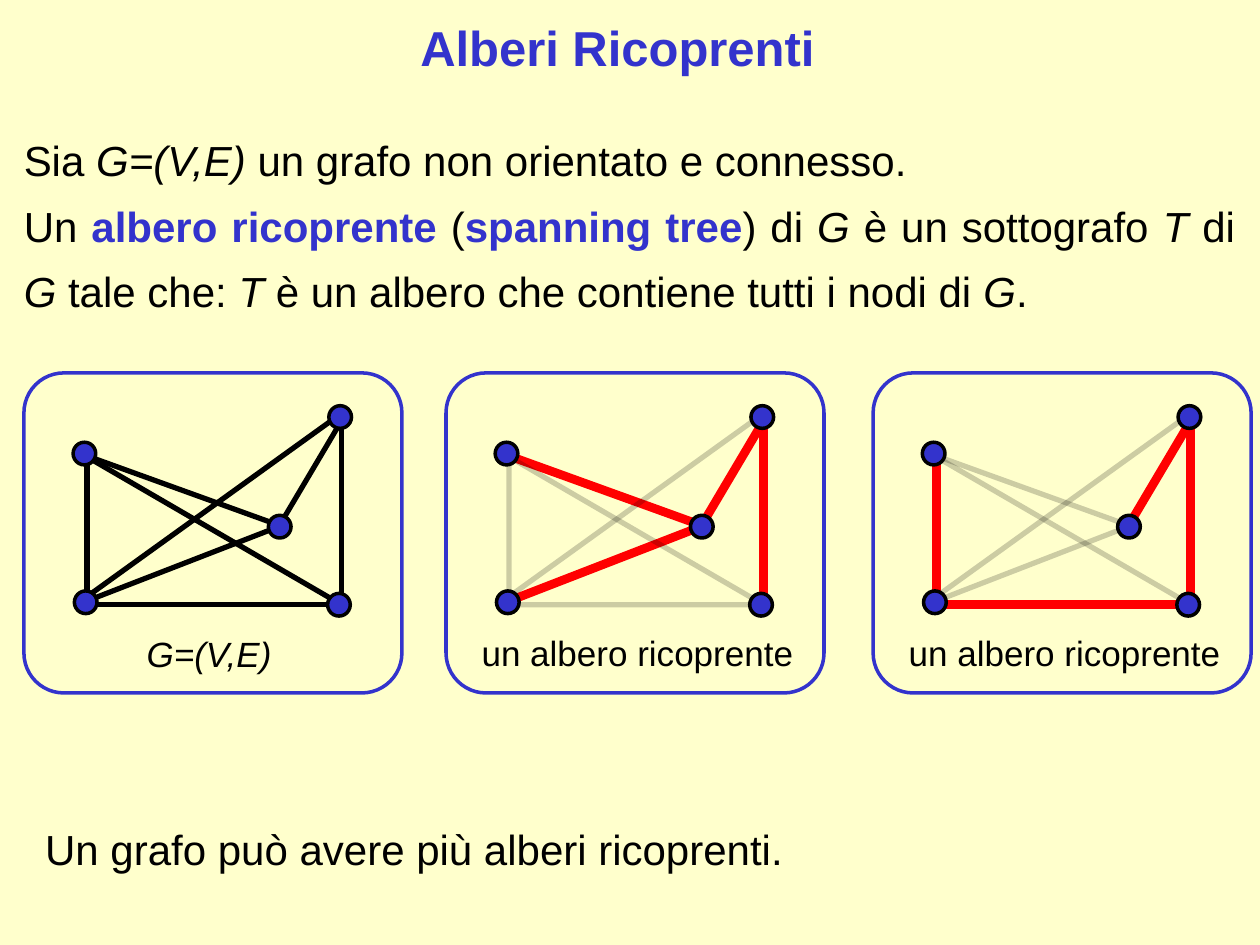
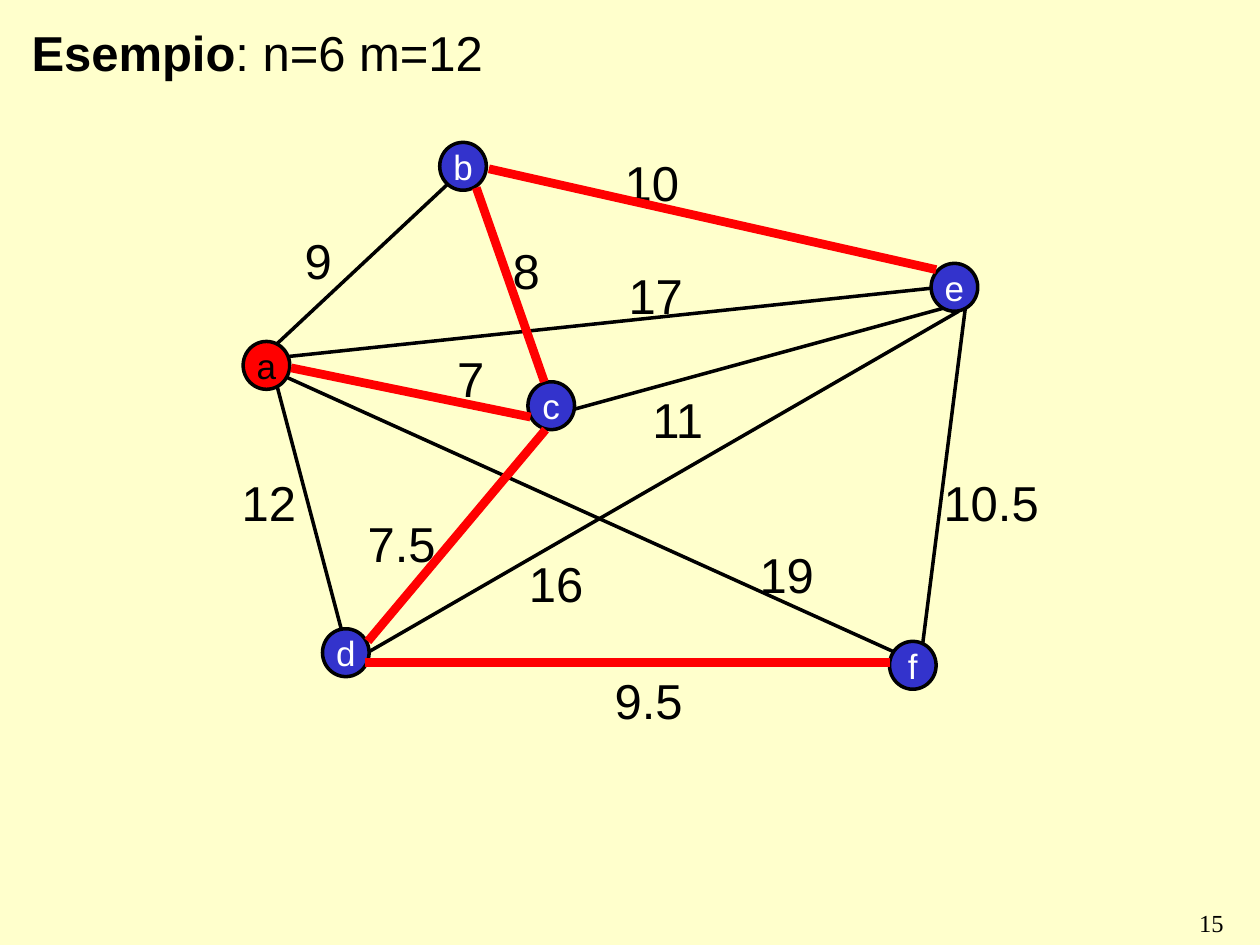
from dataclasses import dataclass
from typing import NamedTuple

from lxml.etree import SubElement
from pptx import Presentation
from pptx.dml.color import RGBColor
from pptx.enum.shapes import MSO_CONNECTOR as Link, MSO_SHAPE as Preset
from pptx.enum.text import MSO_ANCHOR as Anchor, MSO_AUTO_SIZE as Fit, PP_ALIGN as Align
from pptx.oxml.ns import qn
from pptx.util import Inches, Pt

CREAM = RGBColor(0xFF, 0xFF, 0xCC)
BLUE = RGBColor(0x33, 0x33, 0xCC)
RED = RGBColor(0xFF, 0x00, 0x00)
BLACK = RGBColor(0x00, 0x00, 0x00)
WHITE = RGBColor(0xFF, 0xFF, 0xFF)


class Span(NamedTuple):
    text: str
    bold: bool = False
    italic: bool = False
    color: RGBColor | None = None


class Edge(NamedTuple):
    x1: float
    y1: float
    x2: float
    y2: float


class Label(NamedTuple):
    text: str
    left: float
    top: float
    width: float


class Node(NamedTuple):
    name: str
    left: float
    top: float
    fill: RGBColor = BLUE
    ink: RGBColor = WHITE


@dataclass(frozen=True)
class Panel:
    left: float
    caption: Span
    caption_box: tuple[float, float, float]
    tree: tuple[str, ...] = ()


PANEL_TOP, PANEL_WIDTH, PANEL_HEIGHT = 2.96, 3, 2.54
VERTICES = [(0.39, 0.55), (0.4, 1.73), (1.94, 1.13), (2.42, 0.26), (2.41, 1.75)]
PANEL_EDGES = {
    "left-middle": Edge(0.45, 0.64, 2, 1.2),
    "base": Edge(2.5, 1.84, 0.53, 1.84),
    "left side": Edge(0.5, 0.66, 0.5, 1.78),
    "top-middle": Edge(2.52, 0.38, 2.04, 1.19),
    "right side": Edge(2.52, 0.38, 2.52, 1.81),
    "middle-corner": Edge(1.97, 1.24, 0.5, 1.81),
    "rising diagonal": Edge(2.48, 0.35, 0.48, 1.79),
    "falling diagonal": Edge(2.47, 1.81, 0.49, 0.66),
}
TREE_CAPTION = Span("un albero ricoprente")
PANELS = [
    Panel(0.19, Span("G=(V,E)", italic=True), (0.87, 2.01, 1.2)),
    Panel(3.54, TREE_CAPTION, (0.17, 2, 2.7),
          ("left-middle", "top-middle", "right side", "middle-corner")),
    Panel(6.93, TREE_CAPTION, (0.17, 2, 2.7),
          ("base", "left side", "top-middle", "right side")),
]
DEFINITION = [
    [Span("Sia "), Span("G=(V,E)", italic=True),
     Span(" un grafo non orientato e connesso.")],
    [Span("Un "), Span("albero ricoprente", bold=True, color=BLUE), Span(" ("),
     Span("spanning tree", bold=True, color=BLUE), Span(") di "),
     Span("G ", italic=True), Span("è un sottografo "), Span("T", italic=True),
     Span(" di "), Span("G", italic=True), Span(" tale che: "),
     Span("T ", italic=True), Span("è un albero che contiene tutti i nodi di "),
     Span("G", italic=True), Span(".")],
]

PLAIN_EDGES = [
    Edge(7.67, 2.38, 7.3, 5.29), Edge(2.76, 5.27, 7.61, 2.47),
    Edge(2.09, 2.83, 3.63, 1.39), Edge(2.19, 2.84, 7.56, 2.27),
    Edge(2.19, 3.03, 2.75, 5.15), Edge(4.44, 3.28, 7.62, 2.41),
    Edge(2.11, 2.92, 7.22, 5.23),
]
TREE_EDGES = [
    Edge(4.21, 3.31, 2.31, 2.92), Edge(2.92, 5.09, 4.33, 3.41),
    Edge(3.78, 1.49, 4.32, 3.03), Edge(2.9, 5.26, 7.06, 5.26),
    Edge(3.88, 1.34, 7.43, 2.14),
]
WEIGHTS = [
    Label("7", 3.53, 2.72, 0.42), Label("17", 4.89, 2.06, 0.63),
    Label("10", 4.86, 1.16, 0.63), Label("10.5", 7.39, 3.7, 0.96),
    Label("9", 2.32, 1.78, 0.42), Label("7.5", 2.82, 4.03, 0.74),
    Label("11", 5.08, 3.04, 0.63), Label("8", 3.97, 1.86, 0.42),
    Label("12", 1.82, 3.7, 0.63), Label("16", 4.1, 4.34, 0.63),
    Label("9.5", 4.78, 5.27, 0.74), Label("19", 5.93, 4.27, 0.63),
]
NODES = [
    Node("d", 2.56, 4.99), Node("e", 7.39, 2.09), Node("b", 3.49, 1.13),
    Node("c", 4.19, 3.03), Node("f", 7.06, 5.09),
    Node("a", 1.93, 2.71, RED, BLACK),
]


def write_text(frame, paragraphs: list[list[Span]], *, size: float, font: str = "Arial",
               color: RGBColor = BLACK, align=Align.LEFT, anchor=Anchor.TOP,
               wrap: bool = False, fit=Fit.SHAPE_TO_FIT_TEXT,
               spacing: float = 1.0, inset: tuple[float, float] = (0.1, 0.05)) -> None:
    frame.word_wrap = wrap
    frame.auto_size = fit
    frame.vertical_anchor = anchor
    frame.margin_left = frame.margin_right = Inches(inset[0])
    frame.margin_top = frame.margin_bottom = Inches(inset[1])
    for index, spans in enumerate(paragraphs):
        paragraph = frame.add_paragraph() if index else frame.paragraphs[0]
        paragraph.alignment = align
        paragraph.line_spacing = spacing
        for span in spans:
            run = paragraph.add_run()
            run.text = span.text
            run.font.name = font
            run.font.size = Pt(size)
            run.font.bold = span.bold
            run.font.italic = span.italic
            run.font.color.rgb = span.color or color


def add_text(slide, paragraphs: list[list[Span]], left: float, top: float,
             width: float, height: float, **text_format) -> None:
    box = slide.shapes.add_textbox(*map(Inches, (left, top, width, height)))
    write_text(box.text_frame, paragraphs, **text_format)


def set_title(slide, spans: list[Span], left: float, top: float,
              width: float, height: float, **text_format) -> None:
    title = slide.shapes.title
    title.left, title.top, title.width, title.height = map(
        Inches, (left, top, width, height))
    write_text(title.text_frame, [spans], size=28, wrap=True, fit=Fit.NONE, **text_format)


def add_edge(slide, edge: Edge, color: RGBColor, weight: float,
             opacity: int = 100) -> None:
    link = slide.shapes.add_connector(Link.STRAIGHT, *map(Inches, edge))
    link.line.color.rgb = color
    link.line.width = Pt(weight)
    properties = link._element.spPr
    SubElement(properties, qn("a:effectLst"))
    if opacity < 100:
        tint = properties.find(".//" + qn("a:srgbClr"))
        SubElement(tint, qn("a:alpha")).set("val", str(opacity * 1000))


def add_outline(slide, preset, left: float, top: float, width: float, height: float,
                fill: RGBColor | None = None, line: RGBColor = BLACK):
    shape = slide.shapes.add_shape(preset, *map(Inches, (left, top, width, height)))
    shape.shadow.inherit = False
    if fill is None:
        shape.fill.background()
    else:
        shape.fill.solid()
        shape.fill.fore_color.rgb = fill
    shape.line.color.rgb = line
    shape.line.width = Pt(2)
    return shape


def add_panel(slide, panel: Panel) -> None:
    for name, edge in PANEL_EDGES.items():
        placed = Edge(panel.left + edge.x1, PANEL_TOP + edge.y1,
                      panel.left + edge.x2, PANEL_TOP + edge.y2)
        if name in panel.tree:
            add_edge(slide, placed, RED, 5)
        else:
            add_edge(slide, placed, BLACK, 3, opacity=20 if panel.tree else 100)
    for x, y in VERTICES:
        add_outline(slide, Preset.OVAL, panel.left + x, PANEL_TOP + y, 0.18, 0.18, BLUE)
    frame = add_outline(slide, Preset.ROUNDED_RECTANGLE, panel.left, PANEL_TOP,
                        PANEL_WIDTH, PANEL_HEIGHT, line=BLUE)
    frame.adjustments[0] = 0.125
    x, y, width = panel.caption_box
    add_text(slide, [[panel.caption]], panel.left + x, PANEL_TOP + y, width, 0.44,
             size=20, align=Align.CENTER)


def build_spanning_trees(slide) -> None:
    set_title(slide, [Span("Alberi Ricoprenti", bold=True)], 0.12, 0.09, 9.56, 0.59,
              color=BLUE, align=Align.CENTER)
    add_text(slide, DEFINITION, 0.09, 0.9, 9.81, 1.66, size=24, wrap=True,
             align=Align.JUSTIFY, spacing=1.3)
    for panel in PANELS:
        add_panel(slide, panel)
    add_text(slide, [[Span("Un grafo può avere più alberi ricoprenti.")]],
             0.26, 6.49, 6.11, 0.51, size=24)


def build_example(slide) -> None:
    set_title(slide, [Span("Esempio", bold=True), Span(": n=6 m=12")],
              0.15, 0.13, 4.24, 0.57)
    for edge in PLAIN_EDGES:
        add_edge(slide, edge, BLACK, 2)
    for weight in WEIGHTS:
        add_text(slide, [[Span(weight.text)]], weight.left, weight.top,
                 weight.width, 0.57, size=28)
    for node in NODES:
        circle = add_outline(slide, Preset.OVAL, node.left, node.top, 0.37, 0.38, node.fill)
        write_text(circle.text_frame, [[Span(node.name)]], size=20, color=node.ink,
                   align=Align.CENTER, anchor=Anchor.MIDDLE, fit=Fit.NONE,
                   inset=(0.04, 0.04))
    for edge in TREE_EDGES:
        add_edge(slide, edge, RED, 5)
    add_text(slide, [[Span("15")]], 0.25, 7.25, 9.56, 0.15, size=14,
             font="Times New Roman", align=Align.RIGHT, anchor=Anchor.MIDDLE, fit=Fit.NONE)


def main() -> None:
    deck = Presentation()
    deck.slide_width, deck.slide_height = Inches(10), Inches(7.5)
    backdrop = deck.slide_master.background.fill
    backdrop.solid()
    backdrop.fore_color.rgb = CREAM
    title_only = deck.slide_layouts.get_by_name("Title Only")
    for build in (build_spanning_trees, build_example):
        build(deck.slides.add_slide(title_only))
    deck.save("out.pptx")


if __name__ == "__main__":
    main()
